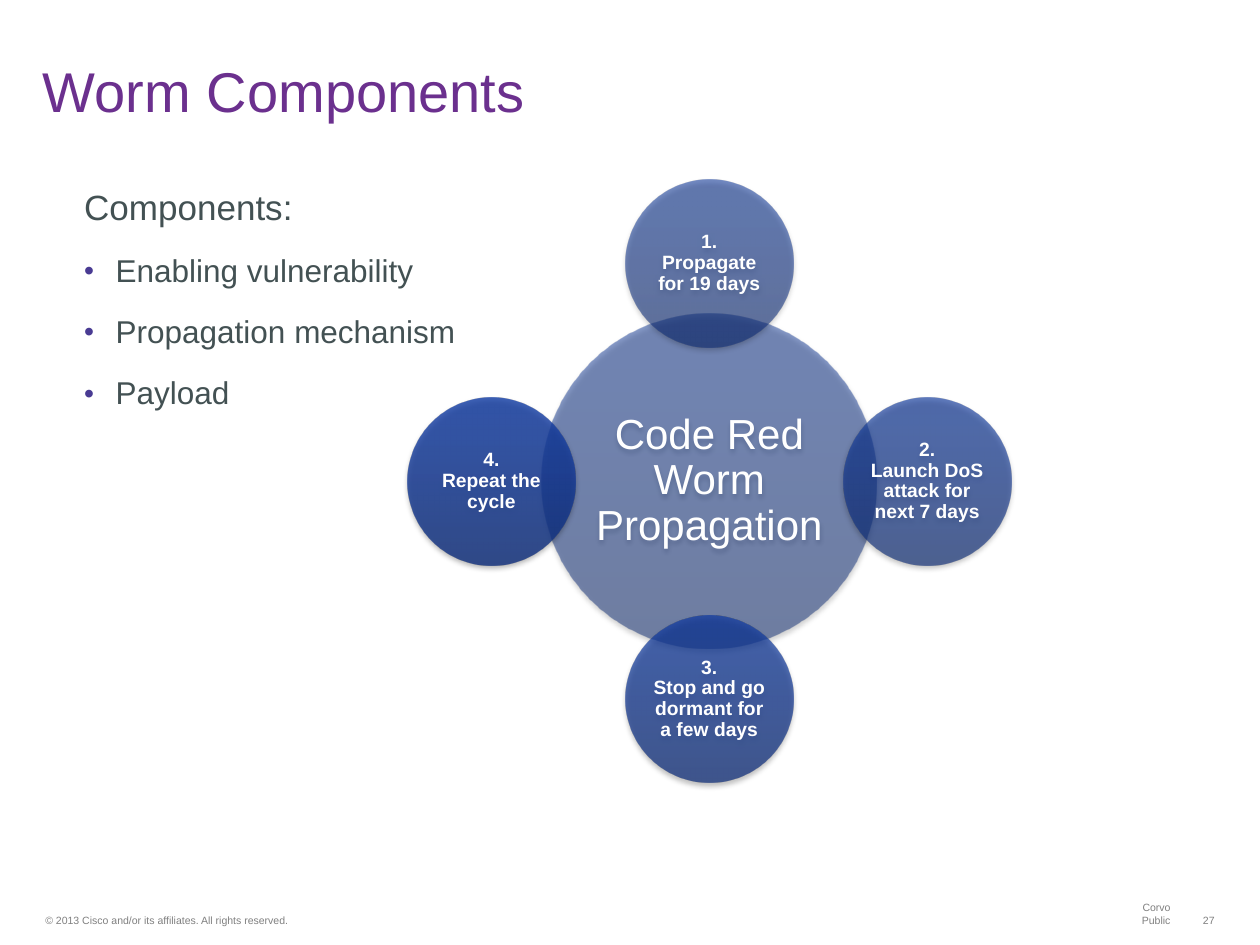
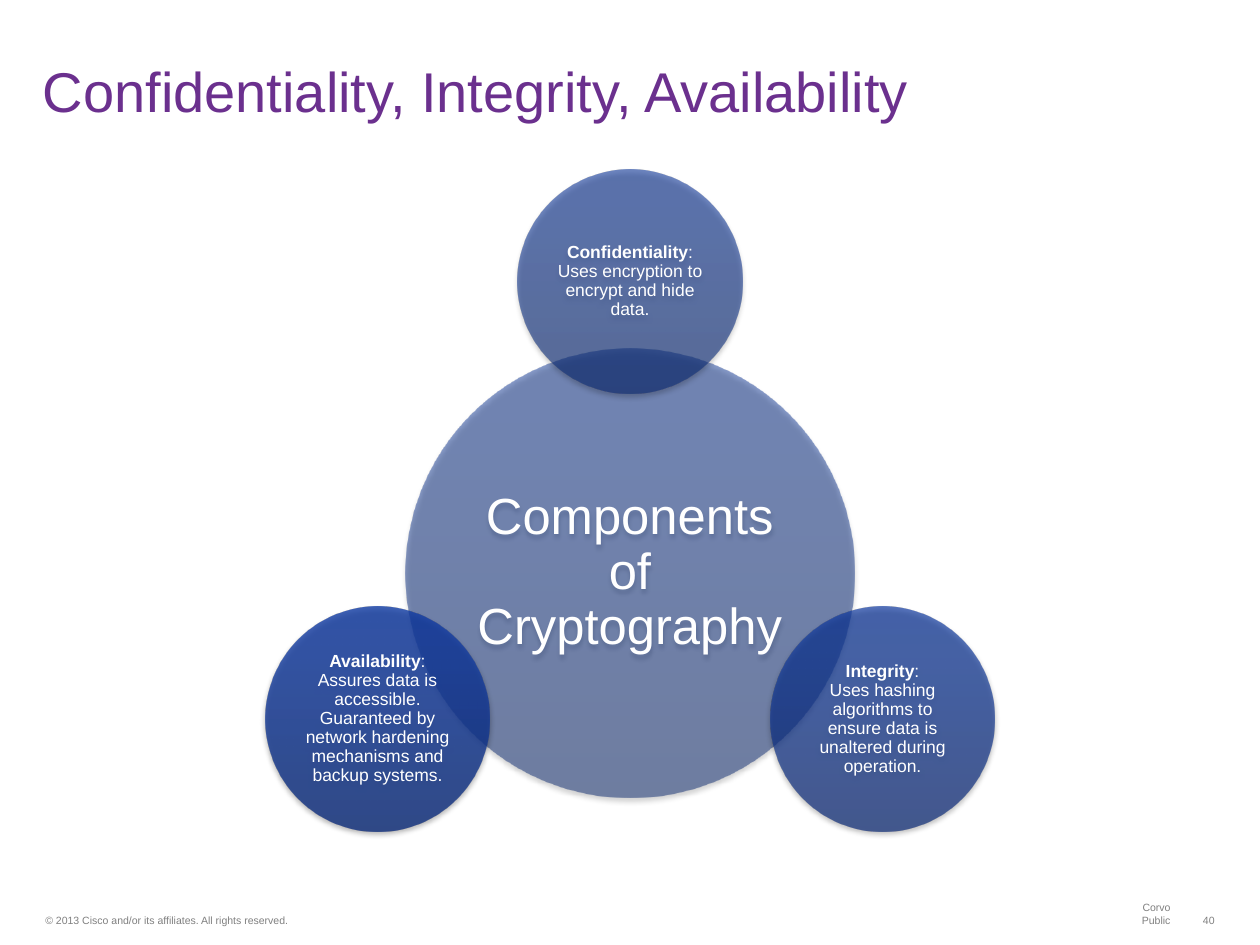
import math

import lxml.etree
import pptx
import pptx.dml.color
import pptx.enum.shapes
import pptx.enum.text
import pptx.oxml.ns
import pptx.util

Inches = pptx.util.Inches
Pt = pptx.util.Pt
Align = pptx.enum.text.PP_ALIGN
Anchor = pptx.enum.text.MSO_ANCHOR
AutoSize = pptx.enum.text.MSO_AUTO_SIZE

FONT = "Arial"
PURPLE, SLATE, GREY, WHITE = "6B308E", "435153", "808080", "FFFFFF"
BULLET = "493B93"
# Gradient stops as (position, colour) at the hub and at the last satellite
HUB_STOPS = ((0, "0C296F"), (80, "103690"), (100, "0E3593"))
LAST_STOPS = ((0, "0F2E7B"), (80, "133C9F"), (100, "103BA3"))
HUB_OPACITY, LAST_OPACITY = 50, 80
ORBIT = 0.65  # satellite distance as a share of the hub diameter


def colour(value):
    return pptx.dml.color.RGBColor.from_string(value)


def apply(target, formats):
    for name, value in formats.items():
        setattr(target, name, value)


def add_element(parent, tag, **attributes):
    child = lxml.etree.SubElement(parent, pptx.oxml.ns.qn(tag))
    for name, value in attributes.items():
        child.set(name, str(value))
    return child


def add_span(para, text, size, shade, bold=False):
    """Add text to a paragraph, with a line break at each newline."""
    for number, line in enumerate(text.split("\n")):
        if number:
            para.add_line_break()
        if line:
            span = para.add_run()
            span.text = line
            apply(span.font, {"name": FONT, "size": Pt(size), "bold": bold})
            span.font.color.rgb = colour(shade)


def set_insets(frame, side, end):
    apply(frame, {"margin_left": Inches(side), "margin_right": Inches(side),
                  "margin_top": Inches(end), "margin_bottom": Inches(end)})


def add_title(page, text, width):
    title = page.shapes.title
    apply(title, {"left": Inches(0.25), "top": Inches(0.11),
                  "width": Inches(width), "height": Inches(0.92)})
    frame = title.text_frame
    apply(frame, {"vertical_anchor": Anchor.BOTTOM, "word_wrap": True,
                  "auto_size": AutoSize.NONE})
    set_insets(frame, 0.09, 0.05)
    para = frame.paragraphs[0]
    para.alignment = Align.LEFT
    add_span(para, text, 32, PURPLE)


def add_footer(page, number):
    parts = (
        (0.27, 3.74, "© 2013 Cisco and/or its affiliates. All rights reserved.", Align.LEFT),
        (8.73, 0.65, "Corvo Public", Align.RIGHT),
        (9.45, 0.28, str(number), Align.RIGHT),
    )
    for left, width, text, alignment in parts:
        box = page.shapes.add_textbox(Inches(left), Inches(7.2), Inches(width), Inches(0.19))
        frame = box.text_frame
        apply(frame, {"vertical_anchor": Anchor.BOTTOM,
                      "word_wrap": alignment == Align.LEFT,
                      "auto_size": AutoSize.SHAPE_TO_FIT_TEXT})
        set_insets(frame, 0.09, 0.04)
        para = frame.paragraphs[0]
        para.alignment = alignment
        add_span(para, text, 6, GREY)


def add_bullet(para):
    props = para._p.get_or_add_pPr()
    props.set("marL", str(Inches(0.25)))
    props.set("indent", str(Inches(-0.25)))
    add_element(add_element(props, "a:buClr"), "a:srgbClr", val=BULLET)
    add_element(props, "a:buSzPct", val=90000)
    add_element(props, "a:buFont", typeface=FONT)
    add_element(props, "a:buChar", char="•")


def add_component_list(page, box, heading, items):
    frame = page.shapes.add_textbox(*map(Inches, box)).text_frame
    frame.word_wrap = True
    para = frame.paragraphs[0]
    para.line_spacing = 0.95
    add_span(para, heading, 20, SLATE)
    for item in items:
        para = frame.add_paragraph()
        apply(para, {"line_spacing": 0.95, "space_before": Pt(14.4)})
        add_bullet(para)
        add_span(para, item, 18, SLATE)


def blend(start, end, share):
    pairs = zip(bytes.fromhex(start), bytes.fromhex(end))
    return "".join(f"{round(a + (b - a) * share):02X}" for a, b in pairs)


def fill_translucent(shape, share):
    """Fill bottom to top, share running from 0 (hub) to 1 (last satellite)."""
    shape.fill.solid()
    props = shape._element.spPr
    solid = props.find(pptx.oxml.ns.qn("a:solidFill"))
    gradient = lxml.etree.Element(pptx.oxml.ns.qn("a:gradFill"), rotWithShape="1")
    props.replace(solid, gradient)
    stops = add_element(gradient, "a:gsLst")
    opacity = HUB_OPACITY + (LAST_OPACITY - HUB_OPACITY) * share
    for (position, start), (_, end) in zip(HUB_STOPS, LAST_STOPS):
        stop = add_element(stops, "a:gs", pos=position * 1000)
        shade = add_element(stop, "a:srgbClr", val=blend(start, end, share))
        add_element(shade, "a:alpha", val=round(opacity * 1000))
    add_element(gradient, "a:lin", ang=270 * 60000, scaled=0)


def add_soft_shadow(shape):
    shape.shadow.inherit = False
    effects = shape._element.spPr.find(pptx.oxml.ns.qn("a:effectLst"))
    shadow = add_element(effects, "a:outerShdw", blurRad=Pt(3.1), dist=Pt(1.8),
                         dir=90 * 60000, rotWithShape=0)
    add_element(add_element(shadow, "a:srgbClr", val="000000"), "a:alpha", val=35000)


def add_circle(page, centre, diameter, share, spans, size, inset):
    """Draw a labelled circle; spans are (text, bold) pairs."""
    left, top = (middle - diameter / 2 for middle in centre)
    circle = page.shapes.add_shape(pptx.enum.shapes.MSO_SHAPE.OVAL, Inches(left), Inches(top),
                                   Inches(diameter), Inches(diameter))
    fill_translucent(circle, share)
    circle.line.fill.background()
    add_soft_shadow(circle)
    frame = circle.text_frame
    apply(frame, {"word_wrap": True, "vertical_anchor": Anchor.MIDDLE})
    set_insets(frame, inset, inset)
    para = frame.paragraphs[0]
    apply(para, {"alignment": Align.CENTER, "line_spacing": 0.9})
    for text, bold in spans:
        add_span(para, text, size, WHITE, bold)


def add_radial_diagram(page, centre, diameter, hub, satellites):
    """Place satellites clockwise from the top; hub is (text, size, inset)."""
    text, size, inset = hub
    add_circle(page, centre, diameter, 0, [(text, False)], size, inset)
    labels, size, inset = satellites
    for number, spans in enumerate(labels):
        angle = 2 * math.pi * number / len(labels)
        spot = (centre[0] + ORBIT * diameter * math.sin(angle),
                centre[1] - ORBIT * diameter * math.cos(angle))
        add_circle(page, spot, diameter / 2, (number + 1) / len(labels), spans, size, inset)


def add_page(deck, title, title_width, number):
    page = deck.slides.add_slide(deck.slide_layouts.get_by_name("Title Only"))
    add_footer(page, number)
    add_title(page, title, title_width)
    return page


def build_worm_page(deck):
    page = add_page(deck, "Worm Components", 9.39, 27)
    steps = ("Propagate for 19 days", "Launch DoS attack for next 7 days",
             "Stop and go dormant for a few days", "Repeat the cycle")
    labels = [[(f"{number}.\n{step}", True)] for number, step in enumerate(steps, 1)]
    add_radial_diagram(page, (5.63, 3.82), 2.66,
                       ("Code Red Worm Propagation", 24, 0.03), (labels, 11, 0.02))
    add_component_list(page, (0.57, 1.45, 3.23, 1.98), "Components:",
                       ("Enabling vulnerability", "Propagation mechanism", "Payload"))


def build_cryptography_page(deck):
    page = add_page(deck, "Confidentiality, Integrity, Availability", 9.67, 40)
    goals = (
        ("Confidentiality", "Uses encryption to encrypt and hide data."),
        ("Integrity", "Uses hashing algorithms to ensure data is unaltered during operation."),
        ("Availability", "Assures data is accessible. Guaranteed by network hardening "
                         "mechanisms and backup systems."),
    )
    labels = [[(goal, True), (f":\n{means}", False)] for goal, means in goals]
    add_radial_diagram(page, (5, 4.55), 3.56,
                       ("Components of Cryptography", 29, 0.04), (labels, 10, 0.01))


def main():
    deck = pptx.Presentation()
    apply(deck, {"slide_width": Inches(10), "slide_height": Inches(7.5)})
    build_worm_page(deck)
    build_cryptography_page(deck)
    deck.save("out.pptx")


if __name__ == "__main__":
    main()
